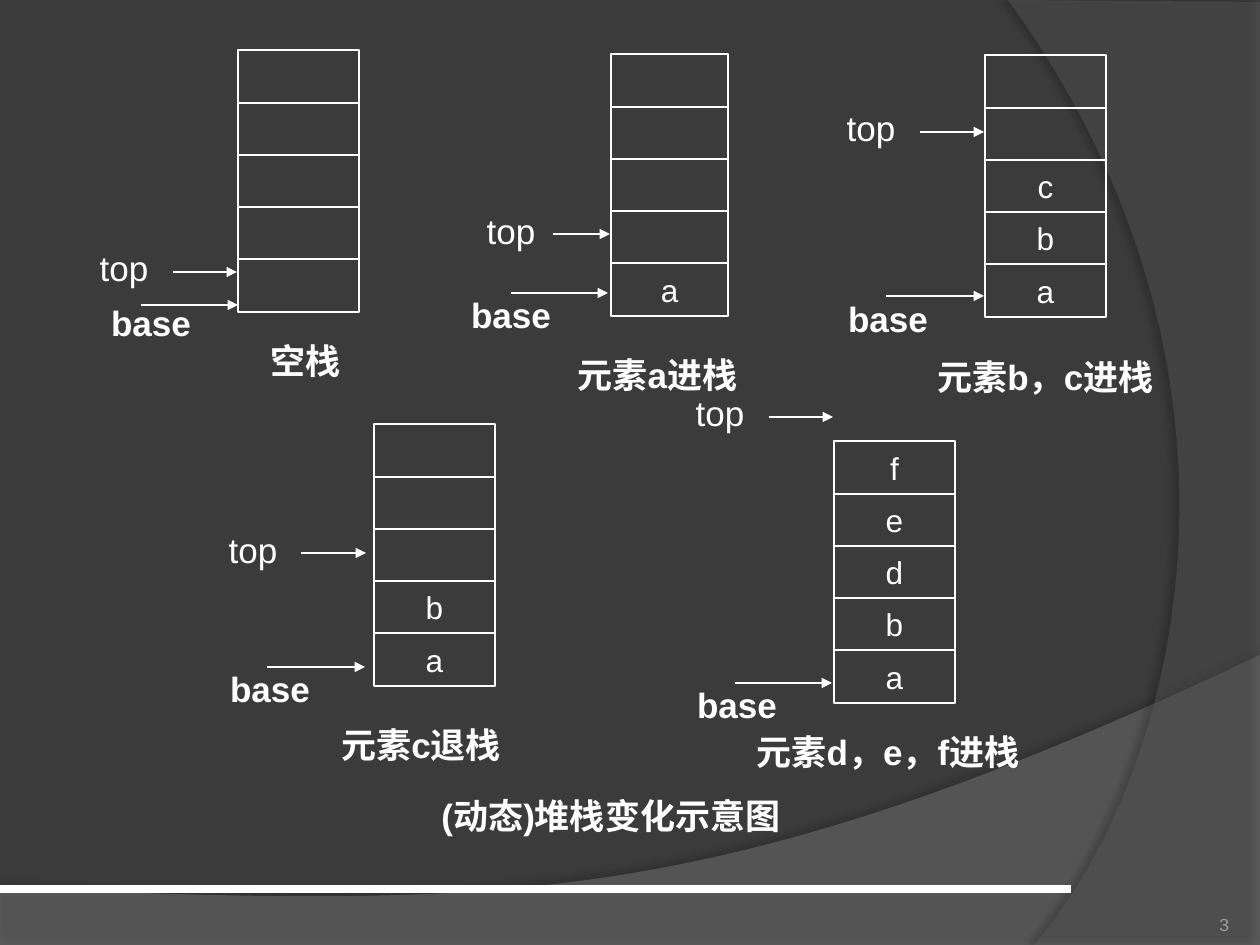
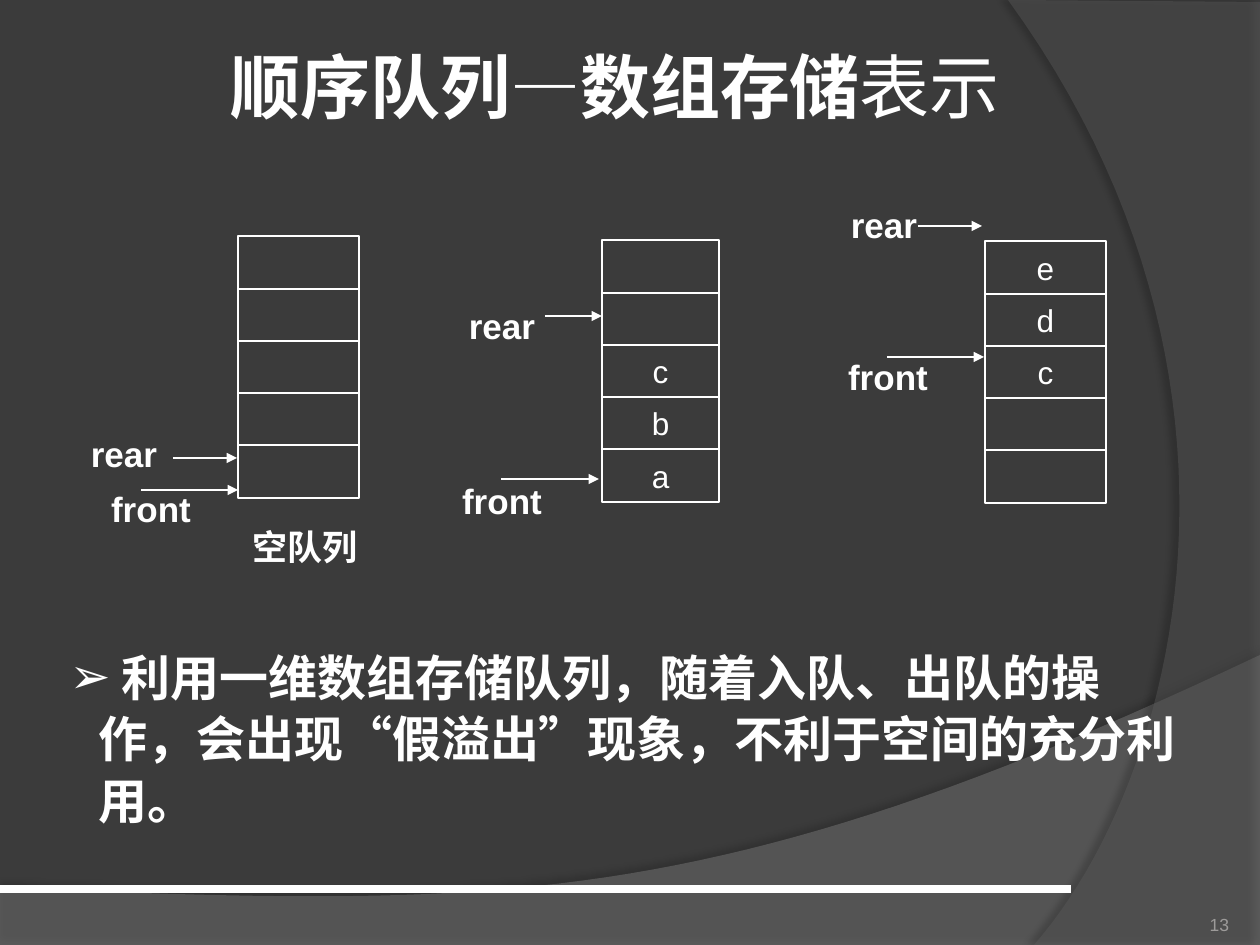
import lxml.etree
import pptx
import pptx.dml.color
import pptx.enum.shapes
import pptx.enum.text
import pptx.oxml.ns
import pptx.util

# ---- Shared look -----------------------------------------------------------
PIXEL = 914400 / 126
SLIDE_WIDTH, SLIDE_HEIGHT = 1260, 945
BACKGROUND, WHITE, BLACK, NUMBER_GREY = "3B3B3B", "FFFFFF", "000000", "9D9B9A"
LATIN, CHINESE, TITLE_FONT = "Arial", "Noto Sans CJK SC", "Noto Sans CJK JP"
STACK_HEIGHT, CELL_HEIGHT, CELL_COUNT = 262, 53, 5
LABEL_HEIGHT = 58
NUMBER_BOX = (1124, 885, 105, 50)
RULE = (0, 1071, 889)  # start, end, height on the slide

# Outlines are points; six numbers are a cubic curve.
# The shadow is opacity %, blur pt, distance pt, direction in degrees.
BANDS = [
    {"outline": [(0, 888), (0, 946), (1260, 946), (1260, 655),
                 (704, 919, 493, 906, 0, 888)],
     "fill": "7F7F7F", "opacity": 45, "shadow": (35, 4, 3.5, 270)},
    {"outline": [(1260, 2), (1260, 945), (1034, 945),
                 (1178, 780, 1283, 378, 1008, 0)],
     "fill": "5E5E5E", "opacity": 40, "shadow": (45, 4, 4, 180)},
]

# ---- Content ---------------------------------------------------------------
# cells: left, top, width; values run from the top cell down.
# pointers: word, label left, top, width, arrow start, end, height.
# caption: text, left, top, width, height.
STACKS = [
    {"cells": (238, 50, 121), "values": ["", "", "", "", ""],
     "pointers": [("base", 84, 293, 134, 141, 238, 305),
                  ("top", 82, 238, 84, 173, 237, 272)],
     "caption": ("空栈", 245, 331, 121, 58)},
    {"cells": (611, 54, 117), "values": ["", "", "", "", "a"],
     "pointers": [("base", 444, 286, 134, 511, 608, 293),
                  ("top", 474, 201, 74, 553, 610, 234)],
     "caption": ("元素a进栈", 530, 338, 255, 73)},
    {"cells": (985, 55, 121), "values": ["", "", "c", "b", "a"],
     "pointers": [("base", 821, 289, 134, 886, 984, 296),
                  ("top", 829, 98, 84, 920, 984, 132)],
     "caption": ("元素b，c进栈", 918, 342, 255, 69)},
    {"cells": (374, 424, 121), "values": ["", "", "", "b", "a"],
     "pointers": [("base", 203, 659, 134, 267, 365, 667),
                  ("top", 211, 520, 84, 301, 366, 553)],
     "caption": ("元素c退栈", 312, 713, 218, 64)},
    {"cells": (834, 441, 121), "values": ["f", "e", "d", "b", "a"],
     "pointers": [("base", 670, 675, 134, 735, 832, 683),
                  ("top", 678, 383, 84, 769, 833, 417)],
     "caption": ("元素d，e，f进栈", 725, 722, 326, 58)},
]
STACKS_CAPTION = ("(动态)堆栈变化示意图", 260, 786, 702, 58)

QUEUES = [
    {"cells": (238, 236, 121), "values": ["", "", "", "", ""],
     "pointers": [("front", 84, 479, 134, 141, 238, 490),
                  ("rear", 82, 425, 84, 173, 237, 458)],
     "caption": ("空队列", 245, 517, 121, 58)},
    {"cells": (602, 240, 117), "values": ["", "", "c", "b", "a"],
     "pointers": [("front", 435, 471, 134, 501, 599, 479),
                  ("rear", 465, 296, 74, 545, 602, 316)]},
    {"cells": (985, 241, 121), "values": ["e", "d", "c", "", ""],
     "pointers": [("front", 821, 347, 134, 887, 984, 357),
                  ("rear", 842, 195, 84, 918, 982, 226)]},
]
# Title runs: text, font, bold
QUEUE_TITLE = [("顺序队列", TITLE_FONT, True), ("—", LATIN, False),
               ("数组存储", TITLE_FONT, True), ("表示 ", TITLE_FONT, False)]
QUEUE_TITLE_BOX = (140, 26, 966, 120)
QUEUE_NOTE = (" 利用一维数组存储队列，随着入队、出队的操作，会出现“假溢出”现象，"
              "不利于空间的充分利用。")
QUEUE_NOTE_BOX = (57, 638, 1134, 137)
NOTE_INDENT = 29


# ---- Helpers ---------------------------------------------------------------
def px(*lengths):
    """Turn pixel lengths into a list of EMU lengths."""
    return [pptx.util.Emu(round(length * PIXEL)) for length in lengths]


def rgb(code):
    """Turn a hex string into a colour."""
    return pptx.dml.color.RGBColor.from_string(code)


def add_xml(parent, tag, **attributes):
    """Append a child element with the given attributes."""
    child = lxml.etree.SubElement(parent, pptx.oxml.ns.qn(tag))
    for key, value in attributes.items():
        child.set(key, str(value))
    return child


def set_font(font, size, color=WHITE, bold=False, latin=LATIN, chinese=CHINESE):
    """Format a paragraph or run font for Latin and Chinese text."""
    font.size, font.bold, font.name = pptx.util.Pt(size), bold, latin
    font.color.rgb = rgb(color)
    add_xml(font._rPr, "a:ea", typeface=chinese)


def place(shape, box):
    """Move and size a shape to a pixel box."""
    shape.left, shape.top, shape.width, shape.height = px(*box)


def set_insets(frame, inset):
    """Give a text frame the same inset on all sides."""
    frame.margin_left = frame.margin_right = inset
    frame.margin_top = frame.margin_bottom = inset


def write(shape, text, size, bold=False):
    """Put one centred line of text in the middle of a shape."""
    frame = shape.text_frame
    frame.word_wrap = False
    set_insets(frame, 0)
    frame.vertical_anchor = pptx.enum.text.MSO_ANCHOR.MIDDLE
    line = frame.paragraphs[0]
    line.text, line.alignment = text, pptx.enum.text.PP_ALIGN.CENTER
    set_font(line.font, size, bold=bold)


def add_label(shapes, text, box, bold=True):
    """Add a caption or pointer label."""
    write(shapes.add_textbox(*px(*box)), text, 20, bold)


def add_rule(shapes, start, end, height, weight):
    """Add a level white line and return its connector."""
    rule = shapes.add_connector(pptx.enum.shapes.MSO_CONNECTOR.STRAIGHT,
                                *px(start, height, end, height))
    rule.line.color.rgb = rgb(WHITE)
    rule.line.width = pptx.util.Pt(weight)
    add_xml(rule.element.spPr, "a:effectLst")
    return rule


def add_arrow(shapes, start, end, height):
    """Add a pointer arrow running to the right."""
    arrow = add_rule(shapes, start, end, height, 1.5)
    outline = arrow.element.spPr.find(pptx.oxml.ns.qn("a:ln"))
    add_xml(outline, "a:tailEnd", type="triangle")


def curve_points(start, curve, steps=48):
    """Return points along a cubic curve, after its start."""
    corners = [start, curve[0:2], curve[2:4], curve[4:6]]
    points = []
    for step in range(1, steps + 1):
        t = step / steps
        weights = ((1 - t) ** 3, 3 * t * (1 - t) ** 2, 3 * t * t * (1 - t), t ** 3)
        points.append(tuple(sum(w * corner[axis] for w, corner in zip(weights, corners))
                            for axis in (0, 1)))
    return points


def add_band(shapes, band):
    """Add a translucent curved band with a soft shadow."""
    points = []
    for part in band["outline"]:
        points += [part] if len(part) == 2 else curve_points(points[-1], part)
    points = [px(*point) for point in points]
    builder = shapes.build_freeform(*points[0])
    builder.add_line_segments(points[1:], close=True)
    shape = builder.convert_to_shape()
    shape.line.fill.background()
    shape.fill.solid()
    shape.fill.fore_color.rgb = rgb(band["fill"])
    properties = shape.element.spPr
    tint = properties.find(pptx.oxml.ns.qn("a:solidFill"))[0]
    add_xml(tint, "a:alpha", val=band["opacity"] * 1000)
    shape.shadow.inherit = False
    opacity, blur, distance, direction = band["shadow"]
    shadow = add_xml(properties.find(pptx.oxml.ns.qn("a:effectLst")), "a:outerShdw",
                     blurRad=pptx.util.Pt(blur), dist=pptx.util.Pt(distance),
                     dir=direction * 60000, algn="ctr", rotWithShape=0)
    add_xml(add_xml(shadow, "a:srgbClr", val=BLACK), "a:alpha", val=opacity * 1000)
    return shape


def dress_master(master, slide):
    """Draw the background, bands and rule, and hand them to the master."""
    master.background.fill.solid()
    master.background.fill.fore_color.rgb = rgb(BACKGROUND)
    decor = [add_band(slide.shapes, band) for band in BANDS]
    decor.append(add_rule(slide.shapes, *RULE, 4.5))
    for order, shape in enumerate(decor):
        shape.element.xpath(".//p:cNvPr")[0].set("id", str(100 + order))
        master.shapes.element.insert(2 + order, shape.element)


def add_diagram(slide, diagram):
    """Add one group: a column of cells, its pointers and its caption."""
    shapes = slide.shapes.add_group_shape().shapes
    left, top, width = diagram["cells"]
    pitch = (STACK_HEIGHT - CELL_HEIGHT) / (CELL_COUNT - 1)
    for row, value in enumerate(diagram["values"]):
        cell = shapes.add_shape(pptx.enum.shapes.MSO_SHAPE.RECTANGLE,
                                *px(left, top + row * pitch, width, CELL_HEIGHT))
        cell.shadow.inherit = False
        cell.fill.background()
        cell.line.color.rgb = rgb(WHITE)
        cell.line.width = pptx.util.Pt(0.75)
        if value:
            write(cell, value, 18)
    for word, x, y, label_width, start, end, height in diagram["pointers"]:
        add_label(shapes, word, (x, y, label_width, LABEL_HEIGHT), bold=word != "top")
        add_arrow(shapes, start, end, height)
    if "caption" in diagram:
        text, *box = diagram["caption"]
        add_label(shapes, text, box)


def add_number(slide, number):
    """Add the slide number at the lower right."""
    frame = slide.shapes.add_textbox(*px(*NUMBER_BOX)).text_frame
    frame.word_wrap = True
    set_insets(frame, 0)
    frame.vertical_anchor = pptx.enum.text.MSO_ANCHOR.BOTTOM
    line = frame.paragraphs[0]
    line.text, line.alignment = number, pptx.enum.text.PP_ALIGN.RIGHT
    set_font(line.font, 10, NUMBER_GREY)


def fill_title(title):
    """Write the queue title with its mixed weights."""
    place(title, QUEUE_TITLE_BOX)
    frame = title.text_frame
    frame.vertical_anchor = pptx.enum.text.MSO_ANCHOR.MIDDLE
    set_insets(frame, pptx.util.Inches(0.05))
    line = frame.paragraphs[0]
    line.alignment = pptx.enum.text.PP_ALIGN.CENTER
    for text, latin, bold in QUEUE_TITLE:
        run = line.add_run()
        run.text = text
        set_font(run.font, 40, bold=bold, latin=latin, chinese=TITLE_FONT)


def fill_note(note):
    """Write the bulleted remark below the queues."""
    place(note, QUEUE_NOTE_BOX)
    frame = note.text_frame
    frame.auto_size = pptx.enum.text.MSO_AUTO_SIZE.SHAPE_TO_FIT_TEXT
    line = frame.paragraphs[0]
    line.text, line.line_spacing, line.space_before = QUEUE_NOTE, 1.05, pptx.util.Pt(0)
    indent = px(NOTE_INDENT)[0]
    properties = line._p.get_or_add_pPr()
    properties.set("marL", str(indent))
    properties.set("indent", str(-indent))
    properties.set("hangingPunct", "0")
    add_xml(properties, "a:buFont", typeface=LATIN)
    add_xml(properties, "a:buChar", char="➢")
    set_font(line.font, 28, bold=True)


# ---- Slides ----------------------------------------------------------------
deck = pptx.Presentation()
deck.slide_width, deck.slide_height = px(SLIDE_WIDTH, SLIDE_HEIGHT)

stack_slide = deck.slides.add_slide(deck.slide_layouts[6])
dress_master(deck.slide_master, stack_slide)
add_number(stack_slide, "3")
add_label(stack_slide.shapes, STACKS_CAPTION[0], STACKS_CAPTION[1:])
for stack in STACKS:
    add_diagram(stack_slide, stack)

queue_slide = deck.slides.add_slide(deck.slide_layouts[1])
fill_title(queue_slide.shapes.title)
fill_note(queue_slide.placeholders[1])
add_number(queue_slide, "13")
for queue in QUEUES:
    add_diagram(queue_slide, queue)

deck.save("out.pptx")
